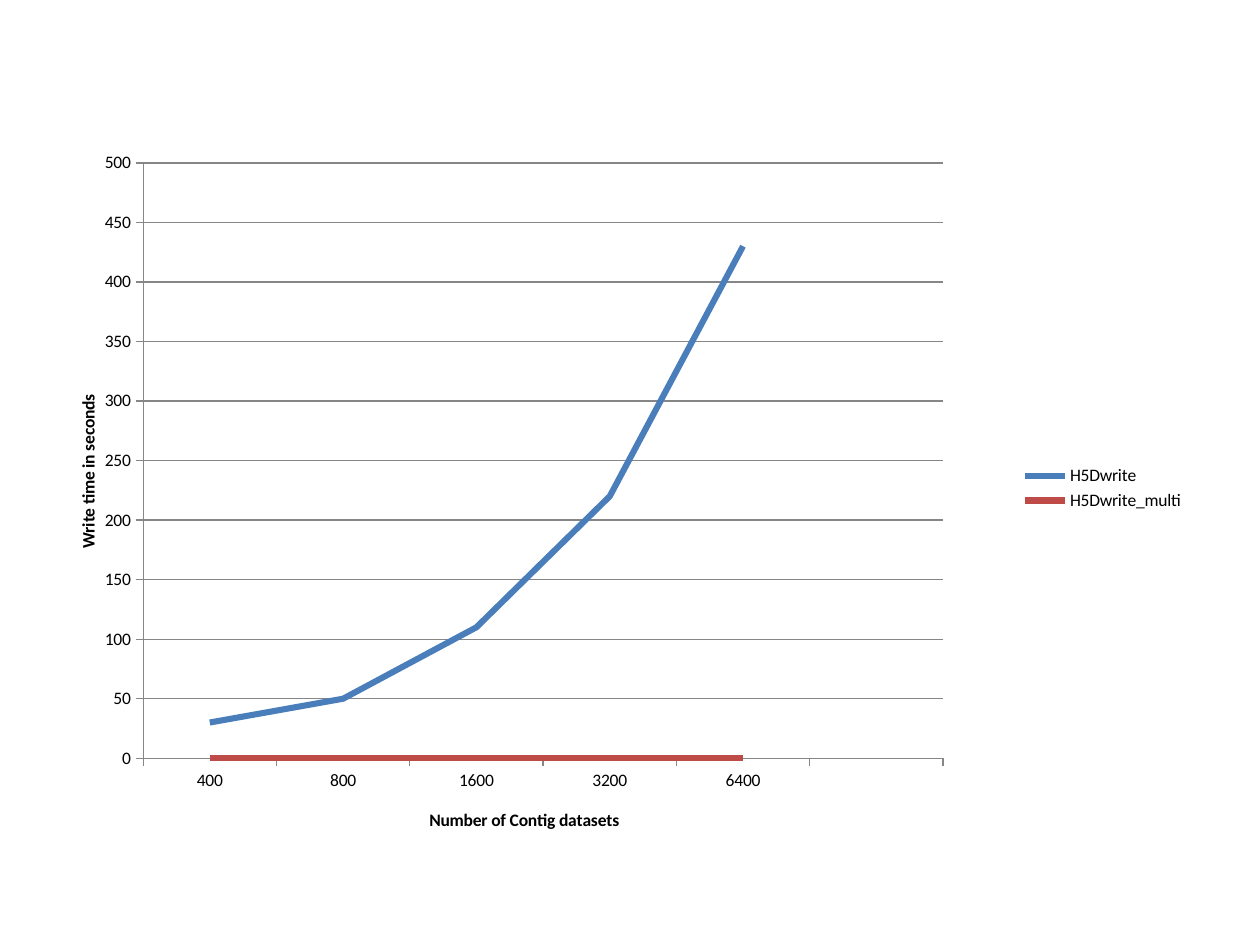
from lxml import etree
from pptx import Presentation
from pptx.chart.data import CategoryChartData
from pptx.dml.color import RGBColor
from pptx.enum.chart import XL_CHART_TYPE, XL_LEGEND_POSITION, XL_TICK_MARK
from pptx.oxml.ns import qn
from pptx.util import Pt

COLORS = {
    "text": "000000",
    "axis": "868686",
    "H5Dwrite": "4A7EBB",
    "H5Dwrite_multi": "BE4B48",
}
CATEGORIES = ["400", "800", "1600", "3200", "6400", ""]
WRITE_TIMES = {
    "H5Dwrite": [30, 50, 110, 220, 430, None],
    "H5Dwrite_multi": [0, 0, 0, 0, 0, None],
}


def rgb(name):
    return RGBColor.from_string(COLORS[name])


def set_font(font, bold=False):
    font.name = "Calibri"
    font.size = Pt(10)
    font.bold = bold
    font.color.rgb = rgb("text")


def set_layout(parent, index, **settings):
    for old in parent.findall(qn("c:layout")):
        parent.remove(old)
    layout = etree.Element(qn("c:layout"))
    manual = etree.SubElement(layout, qn("c:manualLayout"))
    for tag, value in settings.items():
        etree.SubElement(manual, qn(f"c:{tag}")).set("val", str(value))
    parent.insert(index, layout)


def format_line(line, color, width):
    line.color.rgb = rgb(color)
    line.width = Pt(width)


def format_axis(axis, title, x, y):
    axis.major_tick_mark = XL_TICK_MARK.OUTSIDE
    axis.minor_tick_mark = XL_TICK_MARK.NONE
    format_line(axis.format.line, "axis", 0.75)
    set_font(axis.tick_labels.font)
    tf = axis.axis_title.text_frame
    r = tf.paragraphs[0].add_run()
    r.text = title
    set_font(r.font, bold=True)
    set_layout(axis.axis_title._element, 1, xMode="edge", yMode="edge", x=x, y=y)


def add_write_time_chart(s, left, top, width, height):
    data = CategoryChartData()
    data.categories = CATEGORIES
    for name, times in WRITE_TIMES.items():
        data.add_series(name, times)
    chart = s.shapes.add_chart(
        XL_CHART_TYPE.LINE, Pt(left), Pt(top), Pt(width), Pt(height), data
    ).chart
    set_font(chart.font)
    chart.has_title = False
    chart.has_legend = True
    chart.legend.position = XL_LEGEND_POSITION.RIGHT
    chart.legend.include_in_layout = False
    set_font(chart.legend.font)

    format_axis(chart.category_axis, "Number of Contig datasets",
                201.5 / width, 388 / height)
    values = chart.value_axis
    format_axis(values, "Write time in seconds", 0, 151.5 / height)
    values.minimum_scale, values.maximum_scale, values.major_unit = 0, 500, 50
    values.has_major_gridlines = True
    format_line(values.major_gridlines.format.line, "axis", 0.75)

    plot = chart.plots[0]
    plot.vary_by_categories = False
    for series in plot.series:
        series.smooth = False
        format_line(series.format.line, series.name, 3.5)
    plot_area = chart._chartSpace.find(".//" + qn("c:plotArea"))
    set_layout(plot_area, 0, layoutTarget="inner", xMode="edge", yMode="edge",
               x=39.8 / width, y=21.1 / height,
               w=457.1 / width, h=340.3 / height)


def main():
    prs = Presentation()
    prs.slide_width, prs.slide_height = Pt(720), Pt(540)
    s = prs.slides.add_slide(prs.slide_layouts[6])
    add_write_time_chart(s, 42, 72, 642, 414)
    prs.save("out.pptx")


if __name__ == "__main__":
    main()
